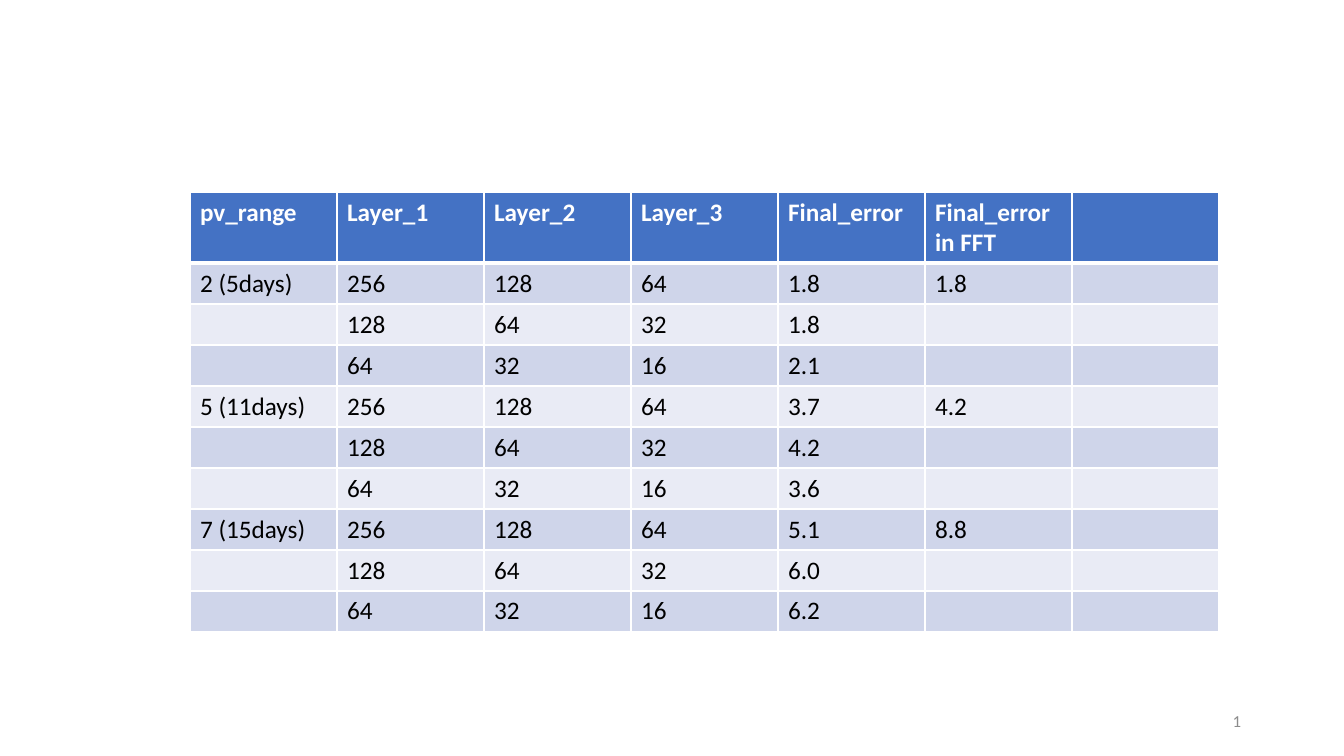
from lxml.etree import SubElement
from pptx import Presentation
from pptx.dml.color import RGBColor
from pptx.enum.text import MSO_ANCHOR, PP_ALIGN
from pptx.oxml.ns import qn
from pptx.util import Emu, Pt

WHITE = RGBColor(0xFF, 0xFF, 0xFF)
BLACK = RGBColor(0x00, 0x00, 0x00)
GRAY = RGBColor(0x8C, 0x8C, 0x8C)
HEADER_BLUE = RGBColor(0x44, 0x72, 0xC4)
BAND_COLORS = (RGBColor(0xCF, 0xD5, 0xEA), RGBColor(0xE9, 0xEB, 0xF5))

HEADERS = ("pv_range", "Layer_1", "Layer_2", "Layer_3",
           "Final_error", "Final_error in FFT", "")
LAYERS = (("256", "128", "64"), ("128", "64", "32"), ("64", "32", "16"))
# Range label, final error for each layer set, final error in FFT
RESULTS = (
    ("2 (5days)", ("1.8", "1.8", "2.1"), "1.8"),
    ("5 (11days)", ("3.7", "4.2", "3.6"), "4.2"),
    ("7 (15days)", ("5.1", "6.0", "6.2"), "8.8"),
)


def px(length):
    return Emu(round(length * 914400 / 100.8))


class SlideBuilder:
    font_name = "Calibri"

    def __init__(self, slide):
        self.slide = slide

    def add_run(self, paragraph, text, size, color, bold=False):
        run = paragraph.add_run()
        run.text = text
        run.font.name = self.font_name
        run.font.size = Pt(size)
        run.font.bold = bold
        run.font.color.rgb = color

    def add_text(self, text, left, top, width, height, size, color):
        shape = self.slide.shapes.add_textbox(px(left), px(top), px(width), px(height))
        frame = shape.text_frame
        frame.word_wrap = True
        frame.vertical_anchor = MSO_ANCHOR.MIDDLE
        paragraph = frame.paragraphs[0]
        paragraph.alignment = PP_ALIGN.RIGHT
        self.add_run(paragraph, text, size, color)

    def set_borders(self, cell, widths):
        properties = cell._tc.get_or_add_tcPr()
        for side, width in widths.items():
            line = SubElement(properties, qn(f"a:ln{side}"), w=str(Pt(width)))
            fill = SubElement(line, qn("a:solidFill"))
            SubElement(fill, qn("a:srgbClr"), val=str(WHITE))

    def add_table(self, rows, left, top, column_width, row_heights):
        column_count = len(rows[0])
        table = self.slide.shapes.add_table(
            len(rows), column_count, px(left), px(top),
            px(column_width * column_count), px(sum(row_heights))).table
        for column in table.columns:
            column.width = px(column_width)
        for row_index, values in enumerate(rows):
            table.rows[row_index].height = px(row_heights[row_index])
            is_header = row_index == 0
            fill_color = HEADER_BLUE if is_header else BAND_COLORS[(row_index - 1) % 2]
            borders = {"L": 1, "R": 1, "T": 3 if row_index == 1 else 1,
                       "B": 3 if is_header else 1}
            for column_index, value in enumerate(values):
                cell = table.cell(row_index, column_index)
                self.set_borders(cell, borders)
                cell.fill.solid()
                cell.fill.fore_color.rgb = fill_color
                if value:
                    self.add_run(cell.text_frame.paragraphs[0], value, 18,
                                 WHITE if is_header else BLACK, is_header)


def main():
    presentation = Presentation()
    presentation.slide_width = px(1344)
    presentation.slide_height = px(756)
    builder = SlideBuilder(presentation.slides.add_slide(presentation.slide_layouts[6]))

    # Slide number
    builder.add_text("1", 949, 701, 302, 40, 12, GRAY)

    # Error table: each range spans three layer sets
    rows = [HEADERS]
    for label, errors, fft_error in RESULTS:
        for index, (layers, error) in enumerate(zip(LAYERS, errors)):
            first = index == 0
            rows.append((label if first else "", *layers, error,
                         fft_error if first else "", ""))
    builder.add_table(rows, 190, 192, 147, [71] + [41] * (len(rows) - 1))

    presentation.save("out.pptx")


if __name__ == "__main__":
    main()
